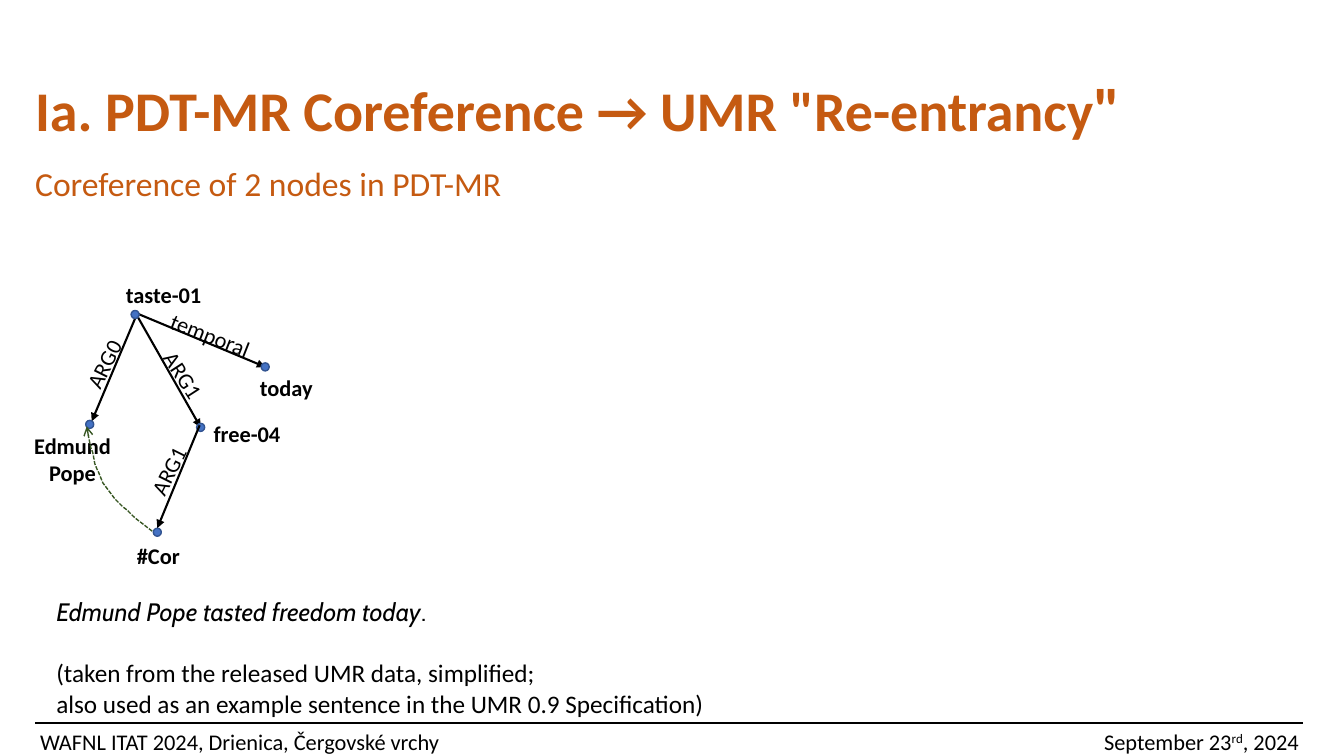
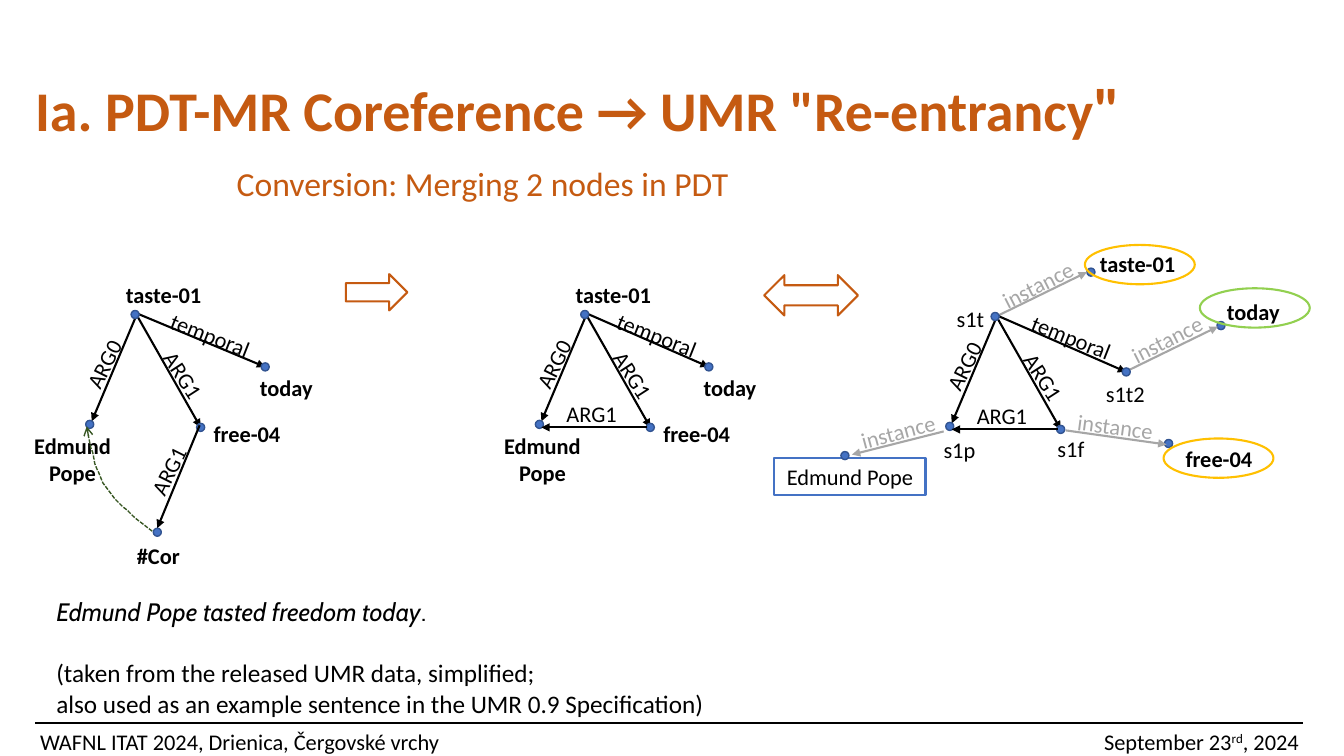
from dataclasses import dataclass

from pptx import Presentation
from pptx.dml.color import RGBColor
from pptx.enum.dml import MSO_LINE
from pptx.enum.shapes import MSO_CONNECTOR, MSO_SHAPE
from pptx.enum.text import MSO_ANCHOR, PP_ALIGN
from pptx.oxml.ns import qn
from pptx.util import Pt
from lxml import etree

PX = 9144
LEFT, MID, RIGHT = PP_ALIGN.LEFT, PP_ALIGN.CENTER, PP_ALIGN.RIGHT
TOP, CENTER = MSO_ANCHOR.TOP, MSO_ANCHOR.MIDDLE
OVAL, RECT = MSO_SHAPE.OVAL, MSO_SHAPE.RECTANGLE
ARROW, DOUBLE = MSO_SHAPE.RIGHT_ARROW, MSO_SHAPE.LEFT_RIGHT_ARROW
STRAIGHT, DASH = MSO_CONNECTOR.STRAIGHT, MSO_LINE.SQUARE_DOT


@dataclass(frozen=True)
class Theme:
    ink: str = "000000"
    rust: str = "C55A11"
    blue: str = "4472C4"
    navy: str = "325491"
    gray: str = "A6A6A6"
    moss: str = "385723"
    gold: str = "FFC000"
    lime: str = "92D050"
    font: str = "Calibri"
    quote: str = "Cabin"
    title: int = 40
    mark: int = 44
    sub: int = 24
    note: int = 18
    label: int = 16
    thin: float = 1
    line: float = 1.5


T = Theme()


def add_run(para, words, size=T.label, color=T.ink, font=T.font,
            bold=False, italic=False, base=0):
    run = para.add_run()
    run.text = words
    face = run.font
    face.name, face.size = font, Pt(size)
    face.bold, face.italic = bold, italic
    face.color.rgb = RGBColor.from_string(color)
    if base:
        run._r.get_or_add_rPr().set("baseline", str(base))


def add_box(slide, x, y, w, h, align=LEFT, anchor=TOP):
    box = slide.shapes.add_textbox(x * PX, y * PX, w * PX, h * PX)
    frame = box.text_frame
    frame.word_wrap = True
    frame.vertical_anchor = anchor
    if align == LEFT:
        frame.margin_right = 0
    frame.margin_bottom = 5 * PX if anchor == CENTER else 0
    frame.paragraphs[0].alignment = align
    return box


def add_word(slide, x, y, words, w=105, bold=True, align=LEFT):
    box = add_box(slide, x, y, w, 37, align)
    add_run(box.text_frame.paragraphs[0], words, bold=bold)


def add_role(slide, x, y, words, turn=0, w=80, color=T.ink):
    box = add_box(slide, x - w // 2, y - 17, w, 34)
    box.rotation = turn
    add_run(box.text_frame.paragraphs[0], words, color=color)


def set_line(line, color, width, head=None):
    line.color.rgb = RGBColor.from_string(color)
    line.width = Pt(width)
    if head:
        etree.SubElement(line._get_or_add_ln(), qn("a:tailEnd"), type=head)


def add_edge(slide, x, y, start, end, color=T.ink, head="triangle"):
    ends = [(x + start[0]) * PX, (y + start[1]) * PX,
            (x + end[0]) * PX, (y + end[1]) * PX]
    edge = slide.shapes.add_connector(STRAIGHT, *ends)
    set_line(edge.line, color, T.line, head)
    etree.SubElement(edge._element.spPr, qn("a:effectLst"))


def add_form(slide, kind, x, y, w, h, color, fill=None, width=T.line):
    form = slide.shapes.add_shape(kind, x * PX, y * PX, w * PX, h * PX)
    form.shadow.inherit = False
    if fill:
        form.fill.solid()
        form.fill.fore_color.rgb = RGBColor.from_string(fill)
    else:
        form.fill.background()
    set_line(form.line, color, width)
    return form


def add_dot(slide, x, y):
    add_form(slide, OVAL, x - 4, y - 4, 8, 8, T.navy, T.blue, T.thin)


def bend(a, b, c, d, steps=12):
    for i in range(1, steps + 1):
        t = i / steps
        u = 1 - t
        yield tuple(u**3 * p + 3 * u * u * t * q + 3 * u * t * t * r + t**3 * s
                    for p, q, r, s in zip(a, b, c, d))


def draw_core(slide, x, y, leaf):
    left, right = (-45, 109), (65, 112)
    add_edge(slide, x, y, (0, 4), (left[0] + 2, left[1] - 3))
    add_edge(slide, x, y, (3, 3), right)
    add_edge(slide, x, y, (2, -1), leaf)
    for dx, dy in ((0, 0), left, right, leaf):
        add_dot(slide, x + dx, y + dy)
    add_role(slide, x - 30, y + 44, "ARG0", 296.5)
    add_role(slide, x + 52, y + 64, "ARG1", 57.2)
    add_role(slide, x + leaf[0] // 2 + 13, y + 20, "temporal", 21.6, 106)


def draw_words(slide, x, y, leaf, pope):
    add_word(slide, x - 19, y - 38, "taste-01")
    add_word(slide, x + leaf[0] - 15, y + 54, "today")
    add_word(slide, x + 68, y + 100, "free-04")
    add_word(slide, x + pope - 55, y + 112, "Edmund Pope", 110, align=MID)


def draw_link(slide, x, y):
    add_role(slide, x - 28 + 40, y + 97, "ARG1")
    add_edge(slide, x, y, (62, 112), (-43, 112))


def draw_source(slide, x, y):
    leaf = (129, 52)
    draw_core(slide, x, y, leaf)
    draw_words(slide, x, y, leaf, -62)
    add_role(slide, x + 34, y + 150, "ARG1", 296.5)
    add_edge(slide, x, y, (64, 110), (22, 212))
    add_dot(slide, x + 22, y + 216)
    add_word(slide, x - 22, y + 221, "#Cor", 90, align=MID)
    start, mid, end = (17, 215), (-29, 171), (-48, 111)
    points = [*bend(start, (0, 202), (-18, 188), mid),
              *bend(mid, (-40, 154), (-44, 132), end)]
    pen = slide.shapes.build_freeform(x + start[0], y + start[1], scale=PX)
    pen.add_line_segments([(x + a, y + b) for a, b in points], close=False)
    curve = pen.convert_to_shape()
    curve.shadow.inherit = False
    curve.fill.background()
    curve.line.dash_style = DASH
    set_line(curve.line, T.moss, T.thin, "arrow")


def draw_merged(slide, x, y):
    leaf = (123, 52)
    draw_core(slide, x, y, leaf)
    draw_words(slide, x, y, leaf, -42)
    draw_link(slide, x, y)


def draw_graph(slide, x, y):
    pope = add_form(slide, RECT, x - 219, y + 140, 150, 37, T.blue)
    para = pope.text_frame.paragraphs[0]
    para.alignment = MID
    add_run(para, "Edmund Pope")
    for start, end, dot, role, turn in (
            ((3, -1), (91, -44), (95, -44), (44, -34), 333.1),
            ((133, 53), (221, 10), (224, 9), (172, 20), 333.1),
            ((70, 113), (170, 127), (172, 126), (122, 108), 7.6),
            ((-51, 114), (-142, 137), (-149, 138), (-94, 112), 344.9)):
        add_dot(slide, x + dot[0], y + dot[1])
        add_edge(slide, x, y, start, end, T.gray)
        add_role(slide, x + role[0], y + role[1], "instance", turn, 100, T.gray)
    for dx, dy, words in ((-48, -16, "s1t"), (100, 58, "s1t2"),
                          (52, 113, "s1f"), (-61, 114, "s1p")):
        add_word(slide, x + dx, y + dy, words, 67, False)
    for dx, dy, inset, drop, words, color in (
            (89, -71, 5, 0, "taste-01", T.gold),
            (203, -28, 17, 5, "today", T.lime),
            (167, 121, 12, 2, "free-04", T.gold)):
        add_word(slide, x + dx + inset, y + dy + drop, words)
        add_form(slide, OVAL, x + dx, y + dy, 109, 39, color)
    draw_core(slide, x, y, (130, 55))
    draw_link(slide, x, y)


def draw_foot(slide, x, y, w):
    add_word(slide, x - 5, y, "WAFNL ITAT 2024, Drienica, Čergovské vrchy", 600, False)
    date = add_box(slide, x + w - 294, y, 300, 33, RIGHT)
    para = date.text_frame.paragraphs[0]
    add_run(para, "September 23")
    add_run(para, "rd", base=30000)
    add_run(para, ", 2024")
    add_edge(slide, x, y, (0, 0), (w, 0), head=None)


def draw_note(slide, x, y):
    frame = add_box(slide, x, y, 751, 131).text_frame
    para = frame.paragraphs[0]
    add_run(para, "Edmund Pope tasted freedom today", T.note, font=T.quote, italic=True)
    add_run(para, ".", T.note, font=T.quote)
    for words, gap in (("(taken from the released UMR data, simplified;", 22),
                       ("also used as an example sentence in the UMR 0.9 Specification)", 0)):
        para = frame.add_paragraph()
        para.space_before = Pt(gap)
        add_run(para, words, T.note)


def draw_head(slide, x, y, words, indent):
    title = add_box(slide, x, y, 1283, 145, anchor=CENTER)
    para = title.text_frame.paragraphs[0]
    add_run(para, 'Ia. PDT-MR Coreference → UMR "Re-entrancy', T.title, T.rust, bold=True)
    add_run(para, '"', T.mark, T.rust, bold=True)
    sub = add_box(slide, x + indent, y + 124, 1000, 50)
    add_run(sub.text_frame.paragraphs[0], words, T.sub, T.rust)


def draw_base(deck, words, indent=0):
    slide = deck.slides.add_slide(deck.slide_layouts[6])
    draw_foot(slide, 35, 717, 1257)
    draw_head(slide, 25, 33, words, indent)
    draw_source(slide, 134, 312)
    draw_note(slide, 46, 587)
    return slide


def main():
    deck = Presentation()
    deck.slide_width, deck.slide_height = 1333 * PX, 750 * PX
    draw_base(deck, "Coreference of 2 nodes in PDT-MR")
    slide = draw_base(deck, "Conversion: Merging 2 nodes in PDT", 200)
    draw_merged(slide, 580, 312)
    draw_graph(slide, 987, 314)
    add_form(slide, ARROW, 343, 272, 61, 36, T.rust)
    add_form(slide, DOUBLE, 758, 273, 93, 40, T.rust)
    deck.save("out.pptx")


if __name__ == "__main__":
    main()
